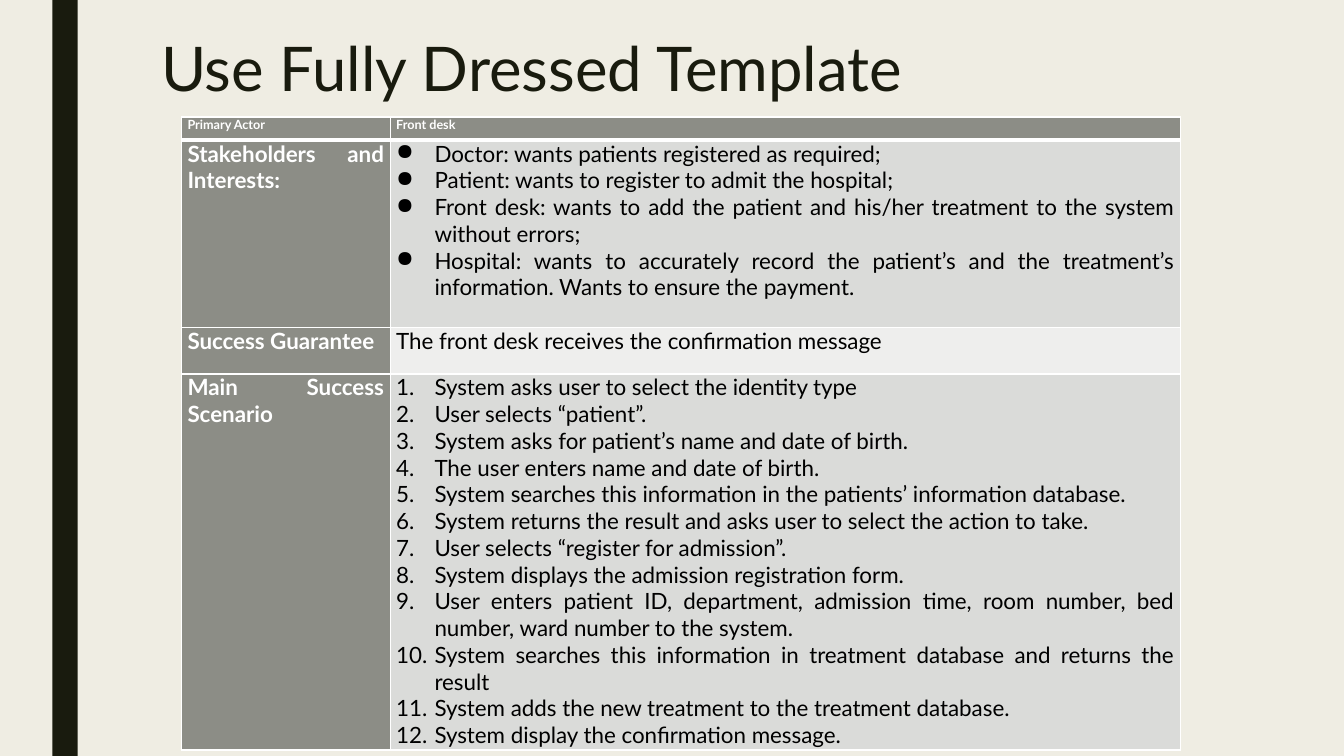
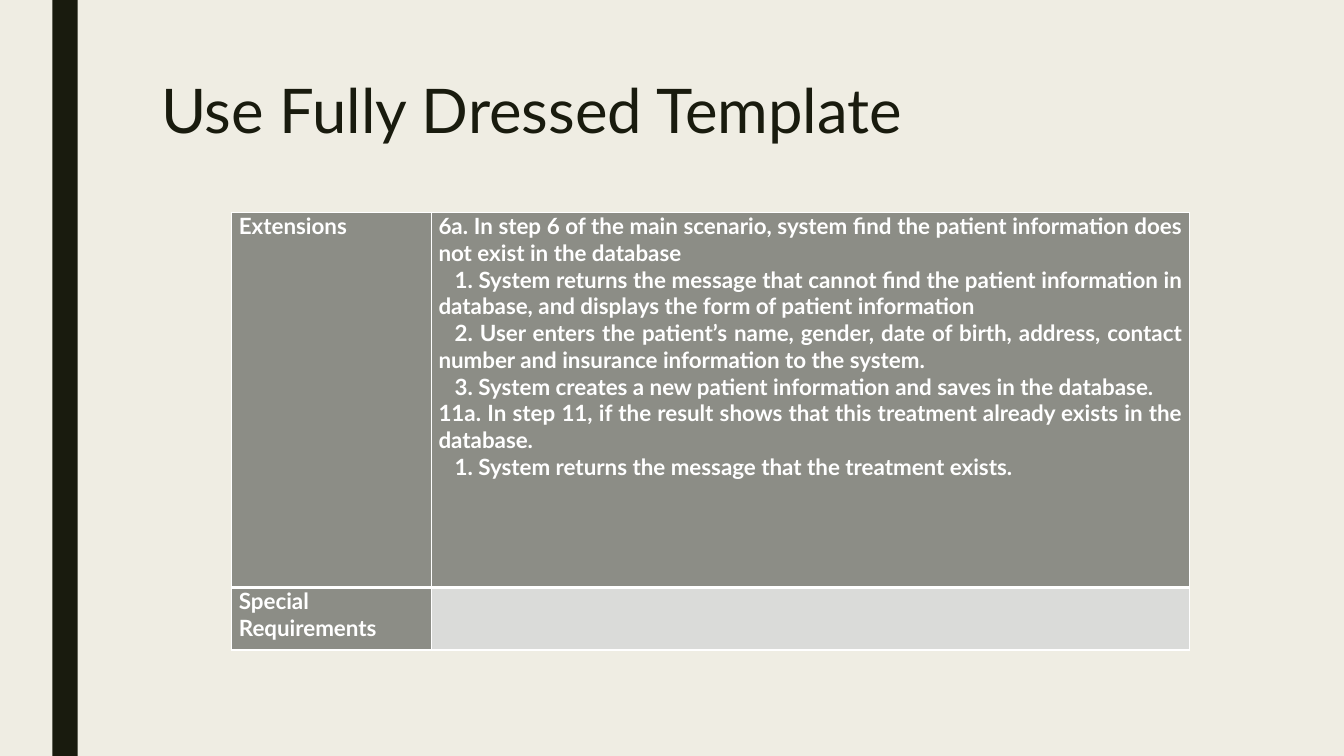
from lxml.etree import SubElement
from pptx import Presentation
from pptx.dml.color import RGBColor
from pptx.enum.shapes import MSO_SHAPE
from pptx.enum.text import MSO_ANCHOR, PP_ALIGN
from pptx.oxml import parse_xml
from pptx.oxml.ns import nsdecls, qn
from pptx.util import Inches, Pt

CREAM = RGBColor(0xEF, 0xED, 0xE3)
INK = RGBColor(0x19, 0x1B, 0x0E)
GREY = RGBColor(0x8C, 0x8D, 0x86)
LIGHT = RGBColor(0xDA, 0xDB, 0xD9)
PALE = RGBColor(0xEE, 0xEE, 0xED)
WHITE = RGBColor(0xFF, 0xFF, 0xFF)
BLACK = RGBColor(0x00, 0x00, 0x00)
FONT = "Lato"

STAKEHOLDERS = [
    "Doctor: wants patients registered as required;",
    "Patient: wants to register to admit the hospital;",
    "Front desk: wants to add the patient and his/her treatment to the system without errors;",
    "Hospital: wants to accurately record the patient’s and the treatment’s information. Wants to ensure the payment.",
]
SCENARIO = [
    "System asks user to select the identity type",
    "User selects “patient”.",
    "System asks for patient’s name and date of birth.",
    "The user enters name and date of birth.",
    "System searches this information in the patients’ information database.",
    "System returns the result and asks user to select the action to take.",
    "User selects “register for admission”.",
    "System displays the admission registration form.",
    "User enters patient ID, department, admission time, room number, bed number, ward number to the system.",
    "System searches this information in treatment database and returns the result",
    "System adds the new treatment to the treatment database.",
    "System display the confirmation message.",
]
EXTENSIONS = [
    "6a. In step 6 of the main scenario, system find the patient information does not exist in the database",
    "1. System returns the message that cannot find the patient information in database, and displays the form of patient information",
    "2. User enters the patient’s name, gender, date of birth, address, contact number and insurance information to the system.",
    "3. System creates a new patient information and saves in the database.",
    "11a. In step 11, if the result shows that this treatment already exists in the database.",
    "1. System returns the message that the treatment exists.",
]

# fmt: off
SLIDES = [
    {
        "title_top": 0.34, "left": 1.8, "top": 1.16, "inset": 0.06,
        "widths": [2.07, 7.84],
        "rows": [
            (0.23, 9, "Primary Actor", ["Front desk"], GREY, None),
            (1.86, 16, "Stakeholders and Interests:", STAKEHOLDERS, LIGHT, "bullet"),
            (0.46, 16, "Success Guarantee", ["The front desk receives the confirmation message"], PALE, None),
            (3.71, 16, "Main Success Scenario", SCENARIO, LIGHT, "number"),
        ],
    },
    {
        "title_top": 0.75, "left": 2.3, "top": 2.11, "inset": 0.07,
        "widths": [1.98, 7.52],
        "rows": [
            (3.72, 16, "Extensions", EXTENSIONS, GREY, "steps"),
            (0.62, 16, "Special Requirements", [], LIGHT, None),
        ],
    },
]
# fmt: on


def set_borders(cell, row_index):
    widths = {"lnL": 1, "lnR": 1, "lnT": 3 if row_index == 1 else 1, "lnB": 3 if row_index == 0 else 1}
    for position, (side, width) in enumerate(widths.items()):
        border = parse_xml(
            f'<a:{side} {nsdecls("a")} w="{Pt(width)}"><a:solidFill>'
            f'<a:srgbClr val="{WHITE}"/></a:solidFill></a:{side}>'
        )
        cell._tc.get_or_add_tcPr().insert(position, border)


def write_cell(cell, lines, size, fill, inset, marker=None):
    cell.fill.solid()
    cell.fill.fore_color.rgb = fill
    cell.margin_left = cell.margin_right = Inches(inset)
    cell.margin_top = cell.margin_bottom = 0
    cell.text_frame.text = "\n".join(lines)
    for paragraph in cell.text_frame.paragraphs:
        paragraph.alignment = PP_ALIGN.JUSTIFY
        paragraph.font.size = Pt(size)
        properties = paragraph._p.get_or_add_pPr()
        if marker in ("bullet", "number"):
            properties.set("marL", str(Inches(0.38)))
            properties.set("indent", str(-Inches(0.38)))
            if marker == "bullet":
                SubElement(properties, qn("a:buChar"), char="●")
            else:
                SubElement(properties, qn("a:buAutoNum"), type="arabicPeriod")
        elif marker == "steps" and "a." not in paragraph.text[:4]:
            properties.set("indent", str(Inches(0.16)))
        for run in paragraph.runs:
            run.font.name = FONT
            run.font.size = Pt(size)
            run.font.bold = fill == GREY
            run.font.color.rgb = WHITE if fill == GREY else BLACK


prs = Presentation()
prs.slide_width = Inches(13.33)
prs.slide_height = Inches(7.5)
background = prs.slide_master.background.fill
background.solid()
background.fore_color.rgb = CREAM

for content in SLIDES:
    slide = prs.slides.add_slide(prs.slide_layouts[6])

    band = slide.shapes.add_shape(MSO_SHAPE.RECTANGLE, Inches(0.52), 0, Inches(0.25), prs.slide_height)
    band.shadow.inherit = False
    band.fill.solid()
    band.fill.fore_color.rgb = INK
    band.line.fill.background()

    title = slide.shapes.add_textbox(Inches(1.5), Inches(content["title_top"]), Inches(10.5), Inches(1.62))
    title.text_frame.word_wrap = True
    title.text_frame.vertical_anchor = MSO_ANCHOR.TOP
    title.text_frame.text = "Use Fully Dressed Template"
    heading = title.text_frame.paragraphs[0]
    heading.line_spacing = 0.89
    heading.runs[0].font.name = FONT
    heading.runs[0].font.size = Pt(44)
    heading.runs[0].font.color.rgb = INK

    rows, widths = content["rows"], content["widths"]
    use_case = slide.shapes.add_table(
        len(rows), len(widths), Inches(content["left"]), Inches(content["top"]),
        Inches(sum(widths)), Inches(sum(row[0] for row in rows)),
    ).table
    use_case.horz_banding = False
    for column, width in zip(use_case.columns, widths):
        column.width = Inches(width)
    for index, (height, size, label, lines, fill, marker) in enumerate(rows):
        use_case.rows[index].height = Inches(height)
        label_cell, detail_cell = use_case.rows[index].cells
        write_cell(label_cell, [label], size, GREY, content["inset"])
        write_cell(detail_cell, lines, size, fill, content["inset"], marker)
        set_borders(label_cell, index)
        set_borders(detail_cell, index)

prs.save("out.pptx")
